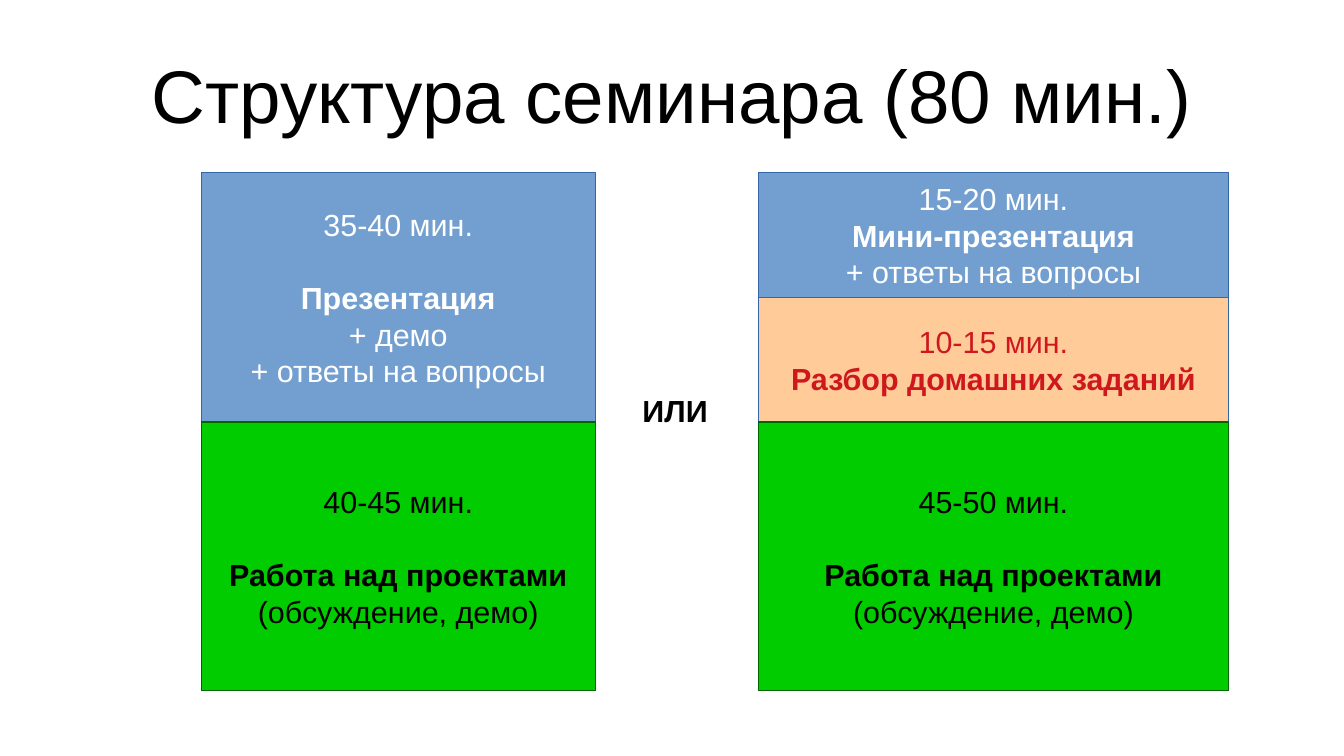
from pptx import Presentation
from pptx.dml.color import RGBColor
from pptx.enum.shapes import MSO_SHAPE as Shape
from pptx.enum.text import MSO_ANCHOR as Anchor, MSO_AUTO_SIZE as AutoSize, PP_ALIGN as Align
from pptx.util import Pt

COLORS = {"blue": "729FCF", "blue_edge": "3465A4", "green": "00CC00", "green_edge": "006600",
          "peach": "FFCC99", "red": "CE181E", "white": "FFFFFF", "black": "000000"}
STYLES = {"talk": ("blue", "blue_edge", "white"),
          "homework": ("peach", "blue_edge", "red"),
          "projects": ("green", "green_edge", "black")}

HEADING = "Структура семинара (80 мин.)"
CHOICE = "ИЛИ"
PROJECTS = ("Работа над проектами", "(обсуждение, демо)")
TALK_HEIGHT, PROJECTS_HEIGHT = 147.2, 158.6
TIME_GAP = 21.6

PLANS = [
    (118.8, 232.6, [
        ("talk", TALK_HEIGHT, TIME_GAP,
         ("35-40 мин.", "Презентация", "+ демо", "+ ответы на вопросы")),
        ("projects", PROJECTS_HEIGHT, TIME_GAP, ("40-45 мин.", *PROJECTS)),
    ]),
    (447.6, 277.7, [
        ("talk", TALK_HEIGHT / 2, 0,
         ("15-20 мин.", "Мини-презентация", "+ ответы на вопросы")),
        ("homework", TALK_HEIGHT / 2, 0, ("10-15 мин.", "Разбор домашних заданий")),
        ("projects", PROJECTS_HEIGHT, TIME_GAP, ("45-50 мин.", *PROJECTS)),
    ]),
]
PLANS_TOP = 102


def rgb(name):
    return RGBColor.from_string(COLORS[name])


def place(part, left, top, width, height):
    part.left, part.top, part.width, part.height = map(Pt, (left, top, width, height))


def write(paragraph, text, size, color, bold=False, align=Align.CENTER):
    paragraph.text = text
    paragraph.alignment = align
    font = paragraph.font
    font.name, font.size, font.bold = "Arial", Pt(size), bold
    font.color.rgb = rgb(color)


def add_stage(slide, left, top, width, height, style, time_gap, lines):
    fill, edge, ink = STYLES[style]
    stage = slide.shapes.add_shape(Shape.RECTANGLE, *map(Pt, (left, top, width, height)))
    stage.shadow.inherit = False
    stage.fill.solid()
    stage.fill.fore_color.rgb = rgb(fill)
    stage.line.color.rgb = rgb(edge)
    stage.line.width = Pt(0)
    frame = stage.text_frame
    frame.word_wrap = False
    frame.vertical_anchor = Anchor.MIDDLE
    for index, line in enumerate(lines):
        paragraph = frame.add_paragraph() if index else frame.paragraphs[0]
        write(paragraph, line, 18, ink, bold=index == 1)
    frame.paragraphs[0].space_after = Pt(time_gap)


def main():
    deck = Presentation()
    deck.slide_width, deck.slide_height = Pt(793.4), Pt(446.4)
    slide = deck.slides.add_slide(deck.slide_layouts[5])

    heading = slide.shapes.title
    place(heading, 39.6, 18, 714.2, 74.9)
    frame = heading.text_frame
    frame.margin_left = frame.margin_right = frame.margin_top = frame.margin_bottom = 0
    frame.vertical_anchor = Anchor.MIDDLE
    write(frame.paragraphs[0], HEADING, 44, "black")

    for left, width, stages in PLANS:
        top = PLANS_TOP
        for style, height, time_gap, lines in stages:
            add_stage(slide, left, top, width, height, style, time_gap, lines)
            top += height

    choice = slide.shapes.add_textbox(*map(Pt, (372.2, 227.8, 54, 27.4)))
    choice.text_frame.word_wrap = False
    choice.text_frame.auto_size = AutoSize.SHAPE_TO_FIT_TEXT
    write(choice.text_frame.paragraphs[0], CHOICE, 18, "black", bold=True, align=Align.LEFT)

    deck.save("out.pptx")


if __name__ == "__main__":
    main()
